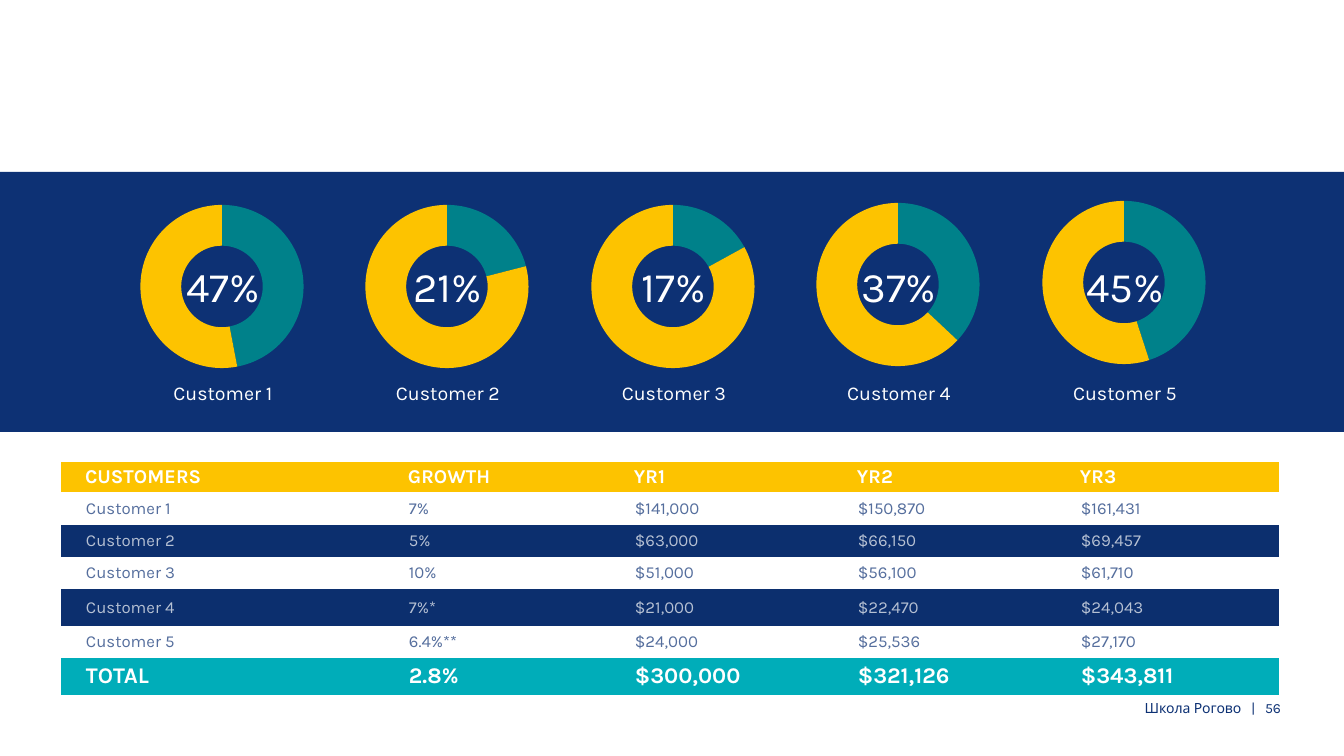
"""Build the customer share and growth slide."""
from lxml import etree
from pptx import Presentation
from pptx import util as u
from pptx.chart import data as chart_data
from pptx.dml import color
from pptx.enum import chart as chart_enum, shapes, text
from pptx.oxml import ns

PX = 914400 / 100.8
NAVY, WHITE, YELLOW, GREEN = "0D3174", "FFFFFF", "FDC300", "00818A"
ROW_NAVY, TURQUOISE = "0C2F6E", "00ADB9"
NO_GRID_STYLE = "{2D5ABB26-0587-4C30-8999-92F81FD0307C}"


def px(*lengths):
    return [u.Emu(round(length * PX)) for length in lengths]


def write(text_frame, words, size, ink, align=text.PP_ALIGN.LEFT, bold=False):
    text_frame.word_wrap = True
    paragraph = text_frame.paragraphs[0]
    paragraph.text = words
    paragraph.alignment = align
    font = paragraph.runs[0].font
    font.name, font.size, font.bold = "Karla", u.Pt(size), bold
    font.color.rgb = color.RGBColor.from_string(ink)
    return paragraph


presentation = Presentation()
presentation.slide_width, presentation.slide_height = px(1344, 756)
slide = presentation.slides.add_slide(presentation.slide_layouts[6])

band = slide.shapes.add_shape(shapes.MSO_SHAPE.RECTANGLE, *px(0, 172, 1344, 260))
band.shadow.inherit = False
band.fill.solid()
band.fill.fore_color.rgb = color.RGBColor.from_string(NAVY)
band.line.fill.background()

texts = [(1015, 700, 266, 40, "Школа Рогово   |   56", 10, NAVY, text.PP_ALIGN.RIGHT)]

rows = [
    ("CUSTOMERS", "GROWTH", "YR1", "YR2", "YR3"),
    ("Customer 1", "7%", "$141,000", "$150,870", "$161,431"),
    ("Customer 2", "5%", "$63,000", "$66,150", "$69,457"),
    ("Customer 3", "10%", "$51,000", "$56,100", "$61,710"),
    ("Customer 4", "7%*", "$21,000", "$22,470", "$24,043"),
    ("Customer 5", "6.4%**", "$24,000", "$25,536", "$27,170"),
    ("TOTAL", "2.8%", "$300,000", "$321,126", "$343,811"),
]
plain, dark = (12, NAVY, None), (12, WHITE, ROW_NAVY)
row_styles = [(14, WHITE, YELLOW), plain, dark, plain, dark, plain, (16, WHITE, TURQUOISE)]
row_heights = [30, 33, 32, 32, 37, 32, 37]
space_before = [7.8, 4.2, 3.7, 3.7, 3, 3.4, 3.7]

table = slide.shapes.add_table(7, 5, *px(61, 462, 1218, 233)).table
table.first_row = table.horz_banding = False
table._tbl.tblPr.find(ns.qn("a:tableStyleId")).text = NO_GRID_STYLE
for column, width in zip(table.columns, px(323, 226, 223, 223, 223)):
    column.width = width
for row, height, words, (size, ink, fill), gap in zip(
    table.rows, px(*row_heights), rows, row_styles, space_before
):
    row.height = height
    bold = size > 12
    for cell, word in zip(row.cells, words):
        cell.margin_left = cell.margin_top = cell.margin_right = cell.margin_bottom = 0
        cell.vertical_anchor = text.MSO_ANCHOR.MIDDLE
        if fill:
            cell.fill.solid()
            cell.fill.fore_color.rgb = color.RGBColor.from_string(fill)
        else:
            cell.fill.background()
        paragraph = write(cell.text_frame, word, size, ink, bold=bold)
        paragraph.space_before = u.Pt(gap)
        paragraph._p.get_or_add_pPr().set("marL", str(px(24 if size == 14 else 25)[0]))
        if not bold:
            ink_element = paragraph._p.find(".//" + ns.qn("a:srgbClr"))
            etree.SubElement(ink_element, ns.qn("a:alpha")).set("val", "70000")

shares = [47, 21, 17, 37, 45]
chart_tops = [191, 191, 191, 189, 187]
for index, (share, top) in enumerate(zip(shares, chart_tops)):
    center = 222 + 451 * index // 2
    values = chart_data.CategoryChartData()
    values.categories = ["1", "2"]
    values.add_series("Series 1", (share, 100 - share))
    chart = slide.shapes.add_chart(
        chart_enum.XL_CHART_TYPE.DOUGHNUT, *px(center - 122, top, 244, 191), values
    ).chart
    chart.has_legend = chart.has_title = False
    chart.font.name, chart.font.size = "Karla", u.Pt(10)
    chart.font.color.rgb = color.RGBColor.from_string(WHITE)
    plot = chart.plots[0]
    plot.vary_by_categories = True
    plot._element.find(ns.qn("c:holeSize")).set("val", "67")
    for point_index, slice_color in enumerate((GREEN, YELLOW)):
        slice_format = plot.series[0].points[point_index].format
        slice_format.fill.solid()
        slice_format.fill.fore_color.rgb = color.RGBColor.from_string(slice_color)
        slice_format.line.fill.background()
    left = center - 74
    texts += [
        (left, 261, 150, 52, f"{share}%", 30, WHITE, text.PP_ALIGN.CENTER),
        (left, 381, 150, 25, f"Customer {index + 1}", 14, WHITE, text.PP_ALIGN.CENTER),
    ]

for left, top, width, height, words, size, ink, align in texts:
    text_frame = slide.shapes.add_textbox(*px(left, top, width, height)).text_frame
    text_frame.margin_left = text_frame.margin_top = 0
    text_frame.margin_right = text_frame.margin_bottom = 0
    write(text_frame, words, size, ink, align)

presentation.save("out.pptx")
